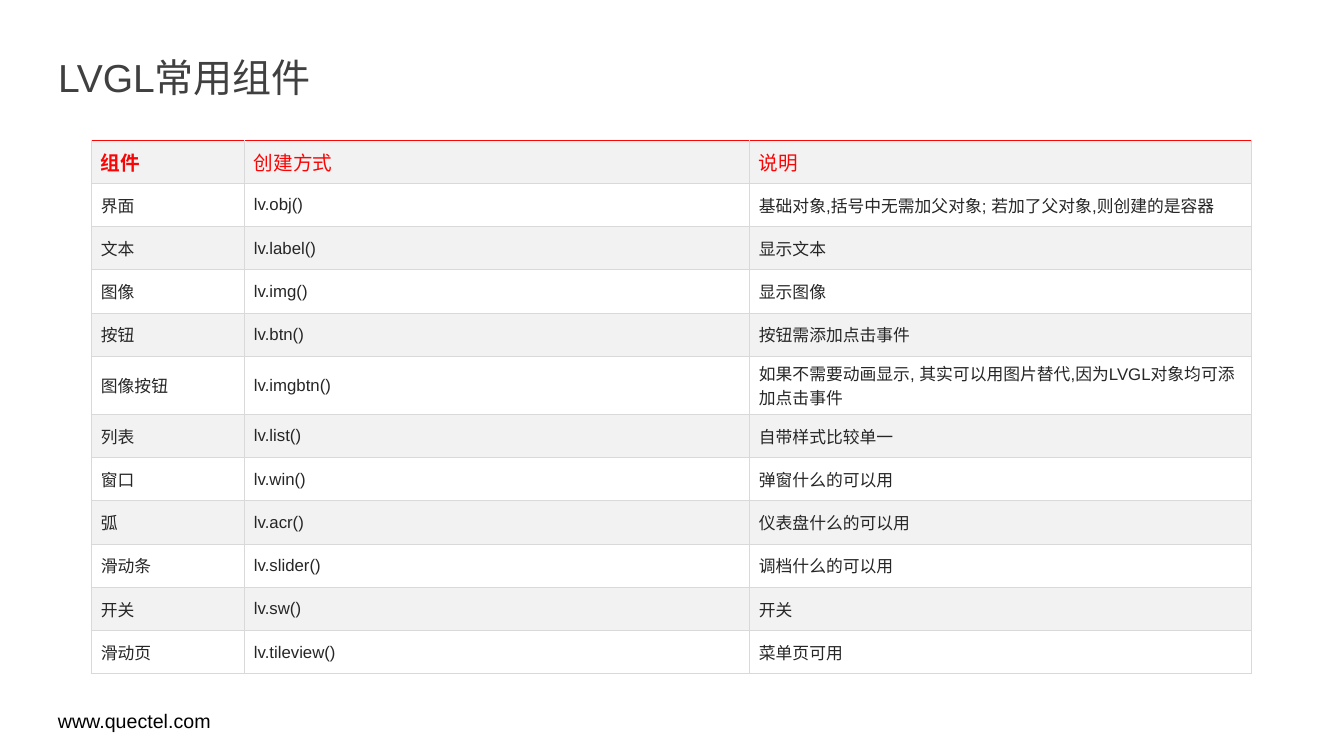
from dataclasses import dataclass

from lxml.etree import SubElement
from pptx import Presentation
from pptx.dml.color import RGBColor
from pptx.enum.lang import MSO_LANGUAGE_ID as Language
from pptx.enum.text import MSO_ANCHOR as Anchor, MSO_AUTO_SIZE as AutoSize, PP_ALIGN as Align
from pptx.oxml.ns import qn
from pptx.util import Emu, Pt

EMU_PER_PX = 914400 / 100.8


@dataclass(frozen=True)
class Theme:
    font: str = "Arial"
    title_color: str = "404040"
    accent: str = "FA0505"
    body_color: str = "262626"
    footer_color: str = "000000"
    band: str = "F2F2F2"
    border: str = "D9D9D9"
    title_size: float = 27.9
    header_size: int = 14
    body_size: int = 12
    footer_size: int = 14
    border_width: float = 0.75


class SlideBuilder:
    def __init__(self, presentation, theme):
        self.theme = theme
        self.slide = presentation.slides.add_slide(presentation.slide_layouts[5])

    @staticmethod
    def px(length):
        return Emu(round(length * EMU_PER_PX))

    def add_run(self, paragraph, text, size, color, bold=False):
        run = paragraph.add_run()
        run.text = text
        run.font.name = self.theme.font
        run.font.size = Pt(size)
        run.font.bold = bold
        run.font.color.rgb = RGBColor.from_string(color)
        run.font.language_id = Language.SIMPLIFIED_CHINESE

    def fill_line(self, shape, text, size, color):
        frame = shape.text_frame
        frame.word_wrap = True
        frame.auto_size = AutoSize.NONE
        frame.vertical_anchor = Anchor.MIDDLE
        frame.margin_top = frame.margin_bottom = 0
        paragraph = frame.paragraphs[0]
        paragraph.alignment = Align.LEFT
        paragraph.line_spacing = 0.9
        self.add_run(paragraph, text, size, color)

    def title(self, text, left, top, width, height):
        shape = self.slide.shapes.title
        shape.left, shape.top = self.px(left), self.px(top)
        shape.width, shape.height = self.px(width), self.px(height)
        self.fill_line(shape, text, self.theme.title_size, self.theme.title_color)

    def footer(self, text, left, top, width, height):
        shape = self.slide.shapes.add_textbox(*map(self.px, (left, top, width, height)))
        self.fill_line(shape, text, self.theme.footer_size, self.theme.footer_color)

    def border(self, cell, top_color):
        properties = cell._tc.get_or_add_tcPr()
        for index, side in enumerate("LRTB"):
            line = SubElement(properties, qn(f"a:ln{side}"), w=str(Pt(self.theme.border_width)))
            fill = SubElement(line, qn("a:solidFill"))
            color = top_color if side == "T" else self.theme.border
            SubElement(fill, qn("a:srgbClr"), val=color)
            properties.insert(index, line)

    def cell(self, cell, text, row, column):
        theme = self.theme
        is_header = row == 0
        if row % 2 == 0:
            cell.fill.solid()
            cell.fill.fore_color.rgb = RGBColor.from_string(theme.band)
        else:
            cell.fill.background()
        cell.vertical_anchor = Anchor.MIDDLE
        cell.margin_left = cell.margin_right = self.px(10)
        cell.margin_top = cell.margin_bottom = self.px(4)
        size = theme.header_size if is_header else theme.body_size
        color = theme.accent if is_header else theme.body_color
        paragraph = cell.text_frame.paragraphs[0]
        self.add_run(paragraph, text, size, color, is_header and column == 0)
        self.border(cell, theme.accent if is_header else theme.border)

    def table(self, rows, left, top, widths, height, tall_row, tall_height):
        frame = self.slide.shapes.add_table(
            len(rows), len(widths), *map(self.px, (left, top, sum(widths), height)))
        table = frame.table
        table.first_row = table.horz_banding = False
        for column, width in zip(table.columns, widths):
            column.width = self.px(width)
        row_height = (height - tall_height) / (len(rows) - 1)
        for row, texts in enumerate(rows):
            table.rows[row].height = self.px(tall_height if row == tall_row else row_height)
            for column, text in enumerate(texts):
                self.cell(table.cell(row, column), text, row, column)


COMPONENTS = [
    ("组件", "创建方式", "说明"),
    ("界面", "lv.obj()", "基础对象,括号中无需加父对象; 若加了父对象,则创建的是容器"),
    ("文本", "lv.label()", "显示文本"),
    ("图像", "lv.img()", "显示图像"),
    ("按钮", "lv.btn()", "按钮需添加点击事件"),
    ("图像按钮", "lv.imgbtn()", "如果不需要动画显示, 其实可以用图片替代,因为LVGL对象均可添加点击事件"),
    ("列表", "lv.list()", "自带样式比较单一"),
    ("窗口", "lv.win()", "弹窗什么的可以用"),
    ("弧", "lv.acr()", "仪表盘什么的可以用"),
    ("滑动条", "lv.slider()", "调档什么的可以用"),
    ("开关", "lv.sw()", "开关"),
    ("滑动页", "lv.tileview()", "菜单页可用"),
]


def main():
    presentation = Presentation()
    presentation.slide_width = SlideBuilder.px(1344)
    presentation.slide_height = SlideBuilder.px(756)
    builder = SlideBuilder(presentation, Theme())
    builder.footer("www.quectel.com", 48, 707, 1220, 31)
    builder.title("LVGL常用组件", 48, 55, 1220, 49)
    builder.table(COMPONENTS, 91, 140, (153, 505, 503), 534, tall_row=5, tall_height=58)
    presentation.save("out.pptx")


if __name__ == "__main__":
    main()
